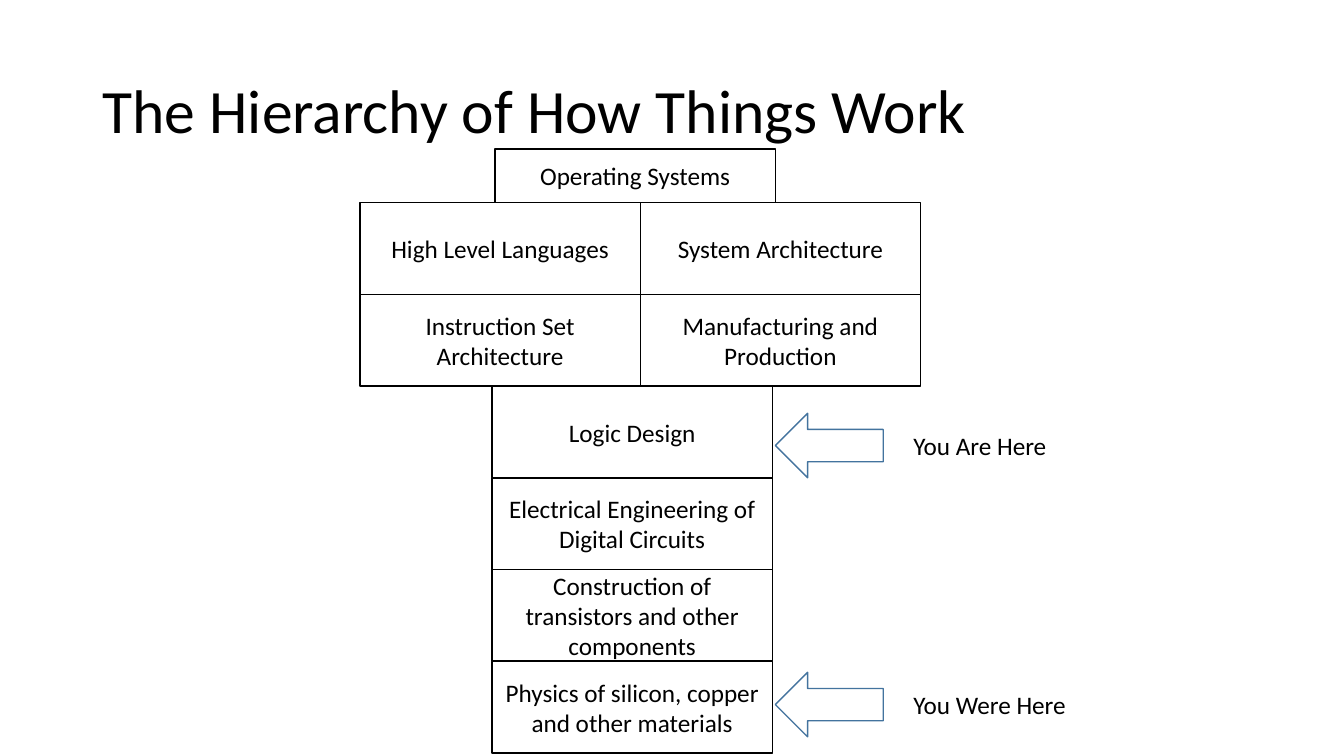
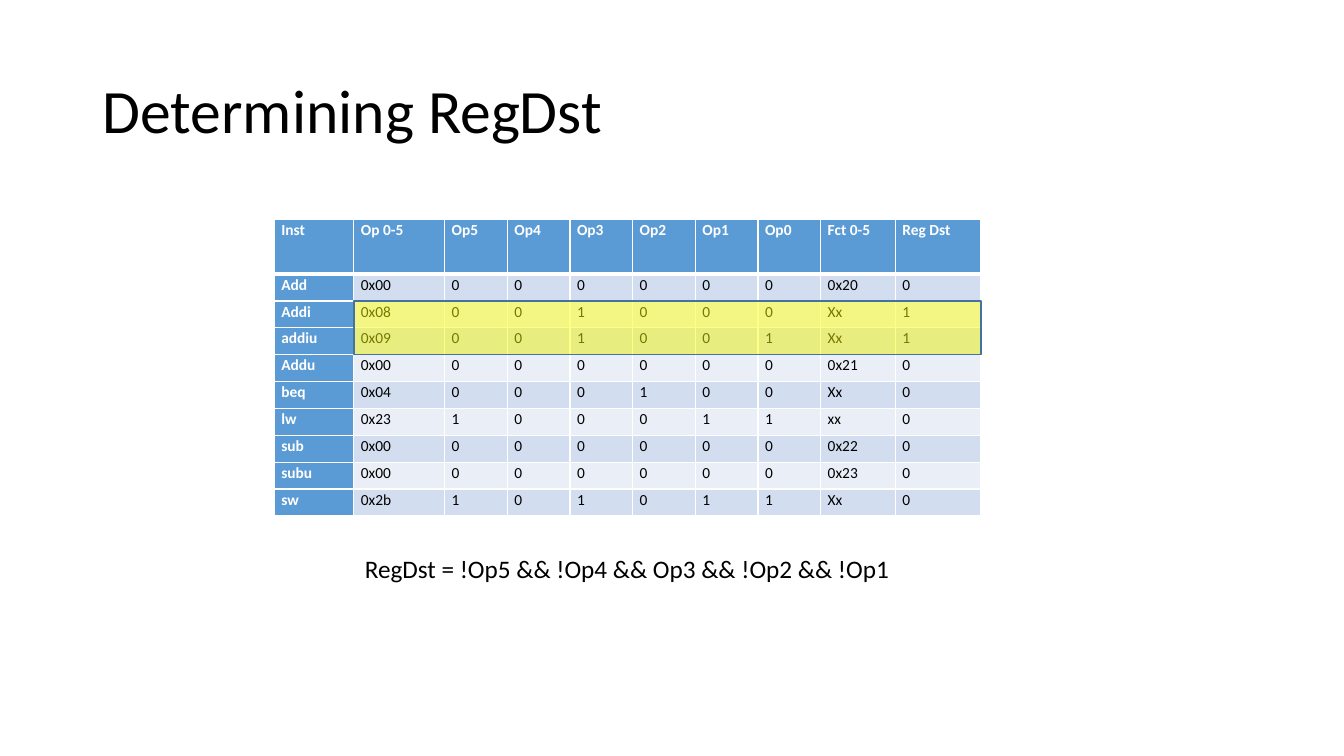
import pptx
import pptx.util
import pptx.dml.color
import pptx.enum.shapes
import pptx.enum.text
import pptx.oxml.ns
import lxml.etree

Inches = pptx.util.Inches
Pt = pptx.util.Pt
SHAPE = pptx.enum.shapes.MSO_SHAPE
ALIGN = pptx.enum.text.PP_ALIGN
ANCHOR = pptx.enum.text.MSO_ANCHOR

FONT = "Calibri"
COLORS = {
    "text": "000000",
    "white": "FFFFFF",
    "outline": "43739E",
    "header": "5B9BD5",
    "band_dark": "D2DEEF",
    "band_light": "EAEFF7",
    "highlight": "FFFF00",
}

# Hierarchy, from top to bottom
SUMMIT = "Operating Systems"
PAIRS = [
    ("High Level Languages", "System Architecture"),
    ("Instruction Set Architecture", "Manufacturing and Production"),
]
STACK = [
    "Logic Design",
    "Electrical Engineering of Digital Circuits",
    "Construction of transistors and other components",
    "Physics of silicon, copper and other materials",
]

# Instruction table: Inst, Op 0-5, Op5 to Op0, Fct 0-5, Reg Dst
HEADINGS = ["Inst", "Op 0-5", "Op5", "Op4", "Op3", "Op2", "Op1", "Op0", "Fct 0-5", "Reg Dst"]
INSTRUCTIONS = [
    ("Add", "0x00", "000000", "0x20", "0"),
    ("Addi", "0x08", "001000", "Xx", "1"),
    ("addiu", "0x09", "001001", "Xx", "1"),
    ("Addu", "0x00", "000000", "0x21", "0"),
    ("beq", "0x04", "000100", "Xx", "0"),
    ("lw", "0x23", "100011", "xx", "0"),
    ("sub", "0x00", "000000", "0x22", "0"),
    ("subu", "0x00", "000000", "0x23", "0"),
    ("sw", "0x2b", "101011", "Xx", "0"),
]


def rgb(name):
    return pptx.dml.color.RGBColor.from_string(COLORS[name])


def style(paragraph, size, color="text", bold=False):
    paragraph.font.name = FONT
    paragraph.font.size = Pt(size)
    paragraph.font.bold = bold
    paragraph.font.color.rgb = rgb(color)


def add_text(slide, text, left, top, width, height, size=18, wrap=False):
    frame = slide.shapes.add_textbox(
        Inches(left), Inches(top), Inches(width), Inches(height)).text_frame
    frame.word_wrap = wrap
    frame.text = text
    style(frame.paragraphs[0], size)
    return frame


def add_outline(slide, kind, left, top, width, height, line):
    outline = slide.shapes.add_shape(
        kind, Inches(left), Inches(top), Inches(width), Inches(height))
    outline.shadow.inherit = False
    outline.fill.background()
    outline.line.color.rgb = rgb(line)
    outline.line.width = Pt(1)
    return outline


def add_titled_slide(deck, title):
    slide = deck.slides.add_slide(deck.slide_layouts[6])
    frame = add_text(slide, title, 0.92, 0.4, 11.5, 1.45, size=44, wrap=True)
    frame.vertical_anchor = ANCHOR.MIDDLE
    frame.paragraphs[0].line_spacing = 0.9
    return slide


def add_level(slide, text, left, top, width, height):
    level = add_outline(slide, SHAPE.RECTANGLE, left, top, width, height, "text")
    frame = level.text_frame
    frame.word_wrap = True
    frame.vertical_anchor = ANCHOR.MIDDLE
    frame.text = text
    frame.paragraphs[0].alignment = ALIGN.CENTER
    style(frame.paragraphs[0], 18)


def add_marker(slide, text, left, top, text_width):
    arrow = add_outline(slide, SHAPE.RIGHT_ARROW, left, top, 1.07, 0.64, "outline")
    arrow.rotation = 180
    add_text(slide, text, left + 1.27, top + 0.12, text_width, 0.4)


def add_hierarchy(slide, left, top):
    width, height, summit_height = 2.78, 0.91, 0.53
    stack_left = left + 1.31
    pairs_top = top + summit_height
    stack_top = pairs_top + len(PAIRS) * height

    add_level(slide, SUMMIT, left + 1.34, top, width, summit_height)
    for row, pair in enumerate(PAIRS):
        for column, text in enumerate(pair):
            add_level(slide, text, left + column * width, pairs_top + row * height,
                      width, height)
    for row, text in enumerate(STACK):
        add_level(slide, text, stack_left, stack_top + row * height, width, height)

    # Markers beside the first and last stacked levels
    marker_left = stack_left + width + 0.03
    add_marker(slide, "You Are Here", marker_left, stack_top + 0.27, 1.54)
    add_marker(slide, "You Were Here", marker_left, stack_top + 3 * height + 0.11, 1.73)


def set_borders(cell, top, bottom):
    properties = cell._tc.get_or_add_tcPr()
    for side, points in (("L", 1), ("R", 1), ("T", top), ("B", bottom)):
        border = lxml.etree.SubElement(
            properties, pptx.oxml.ns.qn("a:ln" + side), w=str(Pt(points)))
        fill = lxml.etree.SubElement(border, pptx.oxml.ns.qn("a:solidFill"))
        lxml.etree.SubElement(fill, pptx.oxml.ns.qn("a:srgbClr"), val=COLORS["white"])


def fill_cell(cell, text, row, column):
    is_heading = row == 0 or column == 0
    band = "band_dark" if row % 2 else "band_light"
    set_borders(cell, top=3 if row == 1 else 1, bottom=3 if row == 0 else 1)
    cell.fill.solid()
    cell.fill.fore_color.rgb = rgb("header" if is_heading else band)
    cell.margin_left = cell.margin_right = Inches(0.07)
    cell.margin_top = cell.margin_bottom = 0
    cell.text = text
    paragraph = cell.text_frame.paragraphs[0]
    paragraph.line_spacing = 1.07
    style(paragraph, 11, "white" if is_heading else "text", is_heading)


def add_instruction_table(slide, left, top, width, height):
    inst_width, header_height = 0.79, 0.54
    row_height = (height - header_height) / len(INSTRUCTIONS)
    bit_width = (width - inst_width - 0.9 - 0.74 - 0.85) / 6
    widths = [inst_width, 0.9] + [bit_width] * 6 + [0.74, 0.85]
    rows = [HEADINGS] + [[inst, op, *bits, fct, dst]
                         for inst, op, bits, fct, dst in INSTRUCTIONS]

    table = slide.shapes.add_table(
        len(rows), len(widths), Inches(left), Inches(top),
        Inches(width), Inches(height)).table
    table.horz_banding = False
    for column, column_width in enumerate(widths):
        table.columns[column].width = Inches(column_width)
    for row, values in enumerate(rows):
        table.rows[row].height = Inches(row_height if row else header_height)
        for column, value in enumerate(values):
            fill_cell(table.cell(row, column), value, row, column)

    # Translucent band over the two rows where Reg Dst is 1
    highlight = add_outline(
        slide, SHAPE.RECTANGLE, left + inst_width, top + header_height + row_height,
        width - inst_width, 2 * row_height, "outline")
    highlight.fill.solid()
    highlight.fill.fore_color.rgb = rgb("highlight")
    color = highlight._element.spPr.find(
        pptx.oxml.ns.qn("a:solidFill") + "/" + pptx.oxml.ns.qn("a:srgbClr"))
    lxml.etree.SubElement(color, pptx.oxml.ns.qn("a:alpha"), val="47000")


def main():
    deck = pptx.Presentation()
    deck.slide_width = Inches(13.33)
    deck.slide_height = Inches(7.5)

    hierarchy = add_titled_slide(deck, "The Hierarchy of How Things Work")
    add_hierarchy(hierarchy, 3.57, 1.48)

    reg_dst = add_titled_slide(deck, "Determining RegDst")
    add_instruction_table(reg_dst, 2.72, 2.18, 7.01, 2.94)
    add_text(reg_dst, "RegDst = !Op5 && !Op4 && Op3 && !Op2 && !Op1", 3.52, 5.44, 5.43, 0.4)

    deck.save("out.pptx")


if __name__ == "__main__":
    main()
